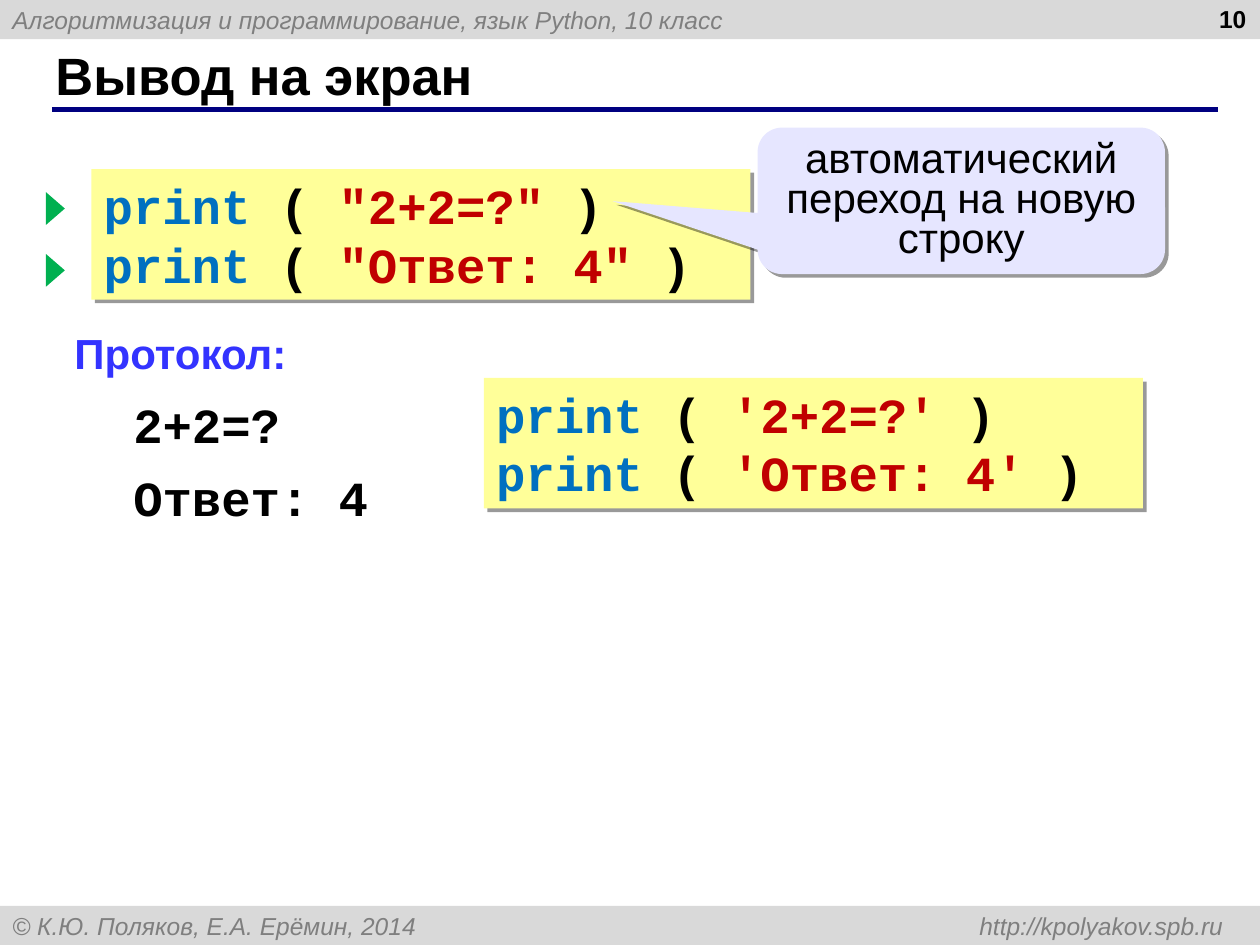
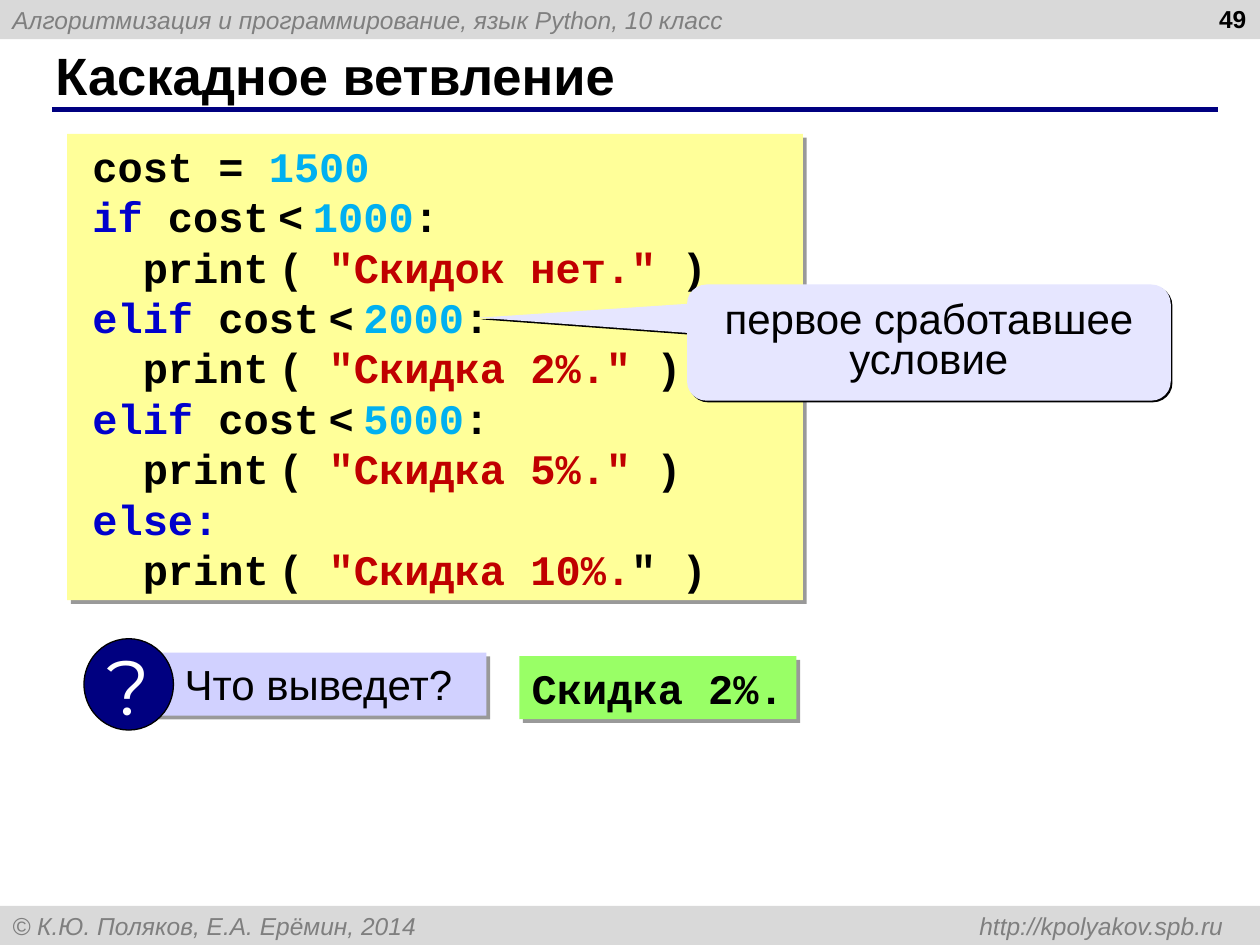
"""Build two lesson slides on printing and cascaded branching in Python."""
from lxml import etree
from pptx import Presentation
from pptx.dml.color import RGBColor
from pptx.enum.shapes import MSO_CONNECTOR, MSO_SHAPE
from pptx.enum.text import MSO_ANCHOR, MSO_AUTO_SIZE, PP_ALIGN
from pptx.oxml.ns import qn
from pptx.util import Pt

RECTANGLE, ELLIPSE = MSO_SHAPE.RECTANGLE, MSO_SHAPE.OVAL
TRIANGLE, CALLOUT = MSO_SHAPE.ISOSCELES_TRIANGLE, MSO_SHAPE.ROUNDED_RECTANGULAR_CALLOUT
STRAIGHT = MSO_CONNECTOR.STRAIGHT
TOP, MIDDLE = MSO_ANCHOR.TOP, MSO_ANCHOR.MIDDLE
LEFT, CENTER, RIGHT = PP_ALIGN.LEFT, PP_ALIGN.CENTER, PP_ALIGN.RIGHT
NO_FIT = MSO_AUTO_SIZE.NONE

BLACK = RGBColor(0x00, 0x00, 0x00)
WHITE = RGBColor(0xFF, 0xFF, 0xFF)
BAND_GRAY = RGBColor(0xD9, 0xD9, 0xD9)
BAND_TEXT = RGBColor(0x7F, 0x7F, 0x7F)
NAVY = RGBColor(0x00, 0x00, 0x80)
CODE_YELLOW = RGBColor(0xFF, 0xFF, 0x99)
CALLOUT_LILAC = RGBColor(0xE6, 0xE6, 0xFF)
QUESTION_LILAC = RGBColor(0xD1, 0xD1, 0xFF)
ANSWER_GREEN = RGBColor(0x99, 0xFF, 0x66)
MARK_GREEN = RGBColor(0x00, 0xB0, 0x50)
HEADING_BLUE = RGBColor(0x33, 0x33, 0xFF)
FUNCTION_BLUE = RGBColor(0x00, 0x70, 0xC0)
KEYWORD_BLUE = RGBColor(0x00, 0x00, 0xCC)
NUMBER_CYAN = RGBColor(0x00, 0xB0, 0xF0)
STRING_RED = RGBColor(0xC0, 0x00, 0x00)

BAND_FONT = {"name": "Arial", "size": Pt(14), "italic": True}
NUMBER_FONT = {"name": "Arial", "size": Pt(14), "bold": True}
TITLE_FONT = {"name": "Arial", "size": Pt(30), "bold": True}
PLAIN_FONT = {"name": "Arial", "size": Pt(24)}
HEADING_FONT = {**PLAIN_FONT, "bold": True}
LARGE_CODE = {"name": "Courier New", "size": Pt(28), "bold": True}
SMALL_CODE = {**LARGE_CODE, "size": Pt(24)}
SIGN_FONT = {"name": "Montserrat", "size": Pt(44)}

SOFT_SHADOW = (3, 40)
HARD_SHADOW = (1.4, 100)

WIDTH, HEIGHT, BAND_HEIGHT = 720, 540, 22.4
HEADER = "Алгоритмизация и программирование, язык Python, 10 класс"
FOOTER = "© К.Ю. Поляков, Е.А. Ерёмин, 2014\thttp://kpolyakov.spb.ru"
NARROW_SPACE = (" ", BLACK, 9)


def print_line(literal):
    return [("print", FUNCTION_BLUE), (" ( ", BLACK), (literal, STRING_RED), (" )", BLACK)]


def condition_line(keyword, limit):
    return [(keyword, KEYWORD_BLUE), (" cost", BLACK), NARROW_SPACE, ("<", BLACK),
            NARROW_SPACE, (limit, NUMBER_CYAN), (":", BLACK)]


def reply_line(literal, ending=" )"):
    return [("  print", BLACK), NARROW_SPACE, ("( ", BLACK), (literal, STRING_RED), (ending, BLACK)]


OUTPUT_TITLE, OUTPUT_NUMBER = "Вывод на экран", "10"
DOUBLE_QUOTED = [print_line('"2+2=?"'), print_line('"Ответ: 4"')]
SINGLE_QUOTED = [print_line("'2+2=?'"), print_line("'Ответ: 4'")]
PROTOCOL_HEADING = "Протокол:"
PROTOCOL_LINES = ["2+2=?", "Ответ: 4"]
NEWLINE_REMARK = "автоматический переход на новую строку"

CASCADE_TITLE, CASCADE_NUMBER = "Каскадное ветвление", "49"
CASCADE_CODE = [
    [("cost = ", BLACK), ("1500", NUMBER_CYAN)],
    condition_line("if", "1000"),
    reply_line('"Скидок нет."'),
    condition_line("elif", "2000"),
    reply_line('"Скидка 2%."'),
    condition_line("elif", "5000"),
    reply_line('"Скидка 5%."'),
    [("else:", KEYWORD_BLUE)],
    reply_line('"Скидка 10%.', '" )'),
]
CONDITION_REMARK = "первое сработавшее условие"
QUESTION, ANSWER = "Что выведет?", "Скидка 2%."


def format_span(span, font, color):
    for name, value in font.items():
        setattr(span.font, name, value)
    span.font.color.rgb = color


def write(box, lines, font, align=LEFT, anchor=TOP, wrap=True, **spacing):
    frame = box.text_frame
    settings = {"word_wrap": wrap, "auto_size": NO_FIT, "vertical_anchor": anchor}
    for name, value in settings.items():
        setattr(frame, name, value)
    for index, line in enumerate(lines):
        para = frame.add_paragraph() if index else frame.paragraphs[0]
        para.alignment = align
        for name, value in spacing.items():
            if index or name != "space_before":
                setattr(para, name, value)
        for text, color, *size in line:
            span = para.add_run()
            span.text = text
            format_span(span, {**font, "size": Pt(size[0])} if size else font, color)


def place(area):
    return [Pt(value) for value in area]


def add_box(shapes, kind, area, fill, shadow=None, adjustments=()):
    box = shapes.add_shape(kind, *place(area))
    box.fill.solid()
    box.fill.fore_color.rgb = fill
    box.line.fill.background()
    box.shadow.inherit = False
    for index, value in enumerate(adjustments):
        box.adjustments[index] = value
    if shadow:
        distance, opacity = shadow
        effects = box._element.spPr.find(qn("a:effectLst"))
        outer = etree.SubElement(effects, qn("a:outerShdw"), blurRad="0", dist=str(Pt(distance)),
                                 dir="2700000", algn="ctr", rotWithShape="0")
        shade = etree.SubElement(outer, qn("a:srgbClr"), val=str(BLACK))
        etree.SubElement(shade, qn("a:alpha"), val=str(opacity * 1000))
    return box


def add_text(shapes, area, lines, font, **options):
    box = shapes.add_textbox(*place(area))
    write(box, lines, font, **options)
    return box


def add_band(shapes, top, text):
    band = add_box(shapes, RECTANGLE, (0, top, WIDTH, BAND_HEIGHT), BAND_GRAY)
    properties = band.text_frame.paragraphs[0]._p.get_or_add_pPr()
    tabs = etree.SubElement(properties, qn("a:tabLst"))
    etree.SubElement(tabs, qn("a:tab"), pos=str(Pt(692)), algn="r")
    write(band, [[(text, BAND_TEXT)]], BAND_FONT, anchor=MIDDLE)


def add_page(deck, title, number):
    page = deck.slides.add_slide(deck.slide_layouts[5])
    shapes = page.shapes
    add_band(shapes, 0, HEADER)
    add_band(shapes, HEIGHT - BAND_HEIGHT, FOOTER)
    rule = shapes.add_connector(STRAIGHT, *place((29.6, 62.6, 696.2, 62.6)))
    rule.line.color.rgb = NAVY
    rule.line.width = Pt(3)
    etree.SubElement(rule._element.spPr, qn("a:effectLst"))
    heading = shapes.title
    heading.left, heading.top, heading.width, heading.height = place((24.5, 24, 659.5, 37.4))
    write(heading, [[(title, BLACK)]], TITLE_FONT, anchor=MIDDLE)
    add_text(shapes, (551.5, -1.4, 167.8, 37.4), [[(number, BLACK)]], NUMBER_FONT, align=RIGHT)
    return shapes


def add_code(shapes, area, lines, font, left_margin=7.2):
    box = add_box(shapes, RECTANGLE, area, CODE_YELLOW, SOFT_SHADOW)
    box.text_frame.margin_left = Pt(left_margin)
    write(box, lines, font)


def add_callout(shapes, area, text, tip, shadow, anchor):
    box = add_box(shapes, CALLOUT, area, CALLOUT_LILAC, shadow, (*tip, 0.167))
    write(box, [[(text, BLACK)]], PLAIN_FONT, align=CENTER, anchor=anchor, line_spacing=0.8)


def build_output_page(deck):
    shapes = add_page(deck, OUTPUT_TITLE, OUTPUT_NUMBER)
    code_size = (376.6, 74.6)
    add_code(shapes, (52.2, 96.6, *code_size), DOUBLE_QUOTED, LARGE_CODE)
    add_text(shapes, (35.5, 183.6, 200, 36), [[(PROTOCOL_HEADING, HEADING_BLUE)]], HEADING_FONT)
    add_text(shapes, (69.1, 221.7, 200, 80), [[(line, BLACK)] for line in PROTOCOL_LINES],
             LARGE_CODE, space_before=Pt(8.4))
    for row in range(len(DOUBLE_QUOTED)):
        mark = add_box(shapes, TRIANGLE, (22.3, 113.8 + 35.3 * row, 18.7, 10.8), MARK_GREEN)
        mark.rotation = 90
    add_callout(shapes, (432.9, 72.9, 232.8, 83.7), NEWLINE_REMARK, (-0.856, 0.002), SOFT_SHADOW, TOP)
    add_code(shapes, (276.5, 216, *code_size), SINGLE_QUOTED, LARGE_CODE)


def build_cascade_page(deck):
    shapes = add_page(deck, CASCADE_TITLE, CASCADE_NUMBER)
    add_code(shapes, (38.4, 76.6, 420.5, 266.4), CASCADE_CODE, SMALL_CODE, left_margin=14.4)
    group = shapes.add_group_shape().shapes
    question = add_box(group, RECTANGLE, (85, 373, 193, 36), QUESTION_LILAC, SOFT_SHADOW)
    question.text_frame.margin_left = Pt(20.5)
    write(question, [[(QUESTION, BLACK)]], PLAIN_FONT)
    sign = add_box(group, ELLIPSE, (48, 365, 51.1, 52.2), NAVY)
    sign.line.color.rgb = BLACK
    sign.line.width = Pt(0.75)
    write(sign, [[("?", WHITE)]], SIGN_FONT, align=CENTER, anchor=MIDDLE, wrap=False)
    add_callout(shapes, (392.6, 162.6, 276.4, 66.4), CONDITION_REMARK, (-0.93, -0.214),
                HARD_SHADOW, MIDDLE)
    answer = add_box(shapes, RECTANGLE, (296.8, 375, 158.4, 36), ANSWER_GREEN, SOFT_SHADOW)
    write(answer, [[(ANSWER, BLACK)]], SMALL_CODE, wrap=False)


def main():
    deck = Presentation()
    deck.slide_width, deck.slide_height = Pt(WIDTH), Pt(HEIGHT)
    build_output_page(deck)
    build_cascade_page(deck)
    deck.save("out.pptx")


if __name__ == "__main__":
    main()
